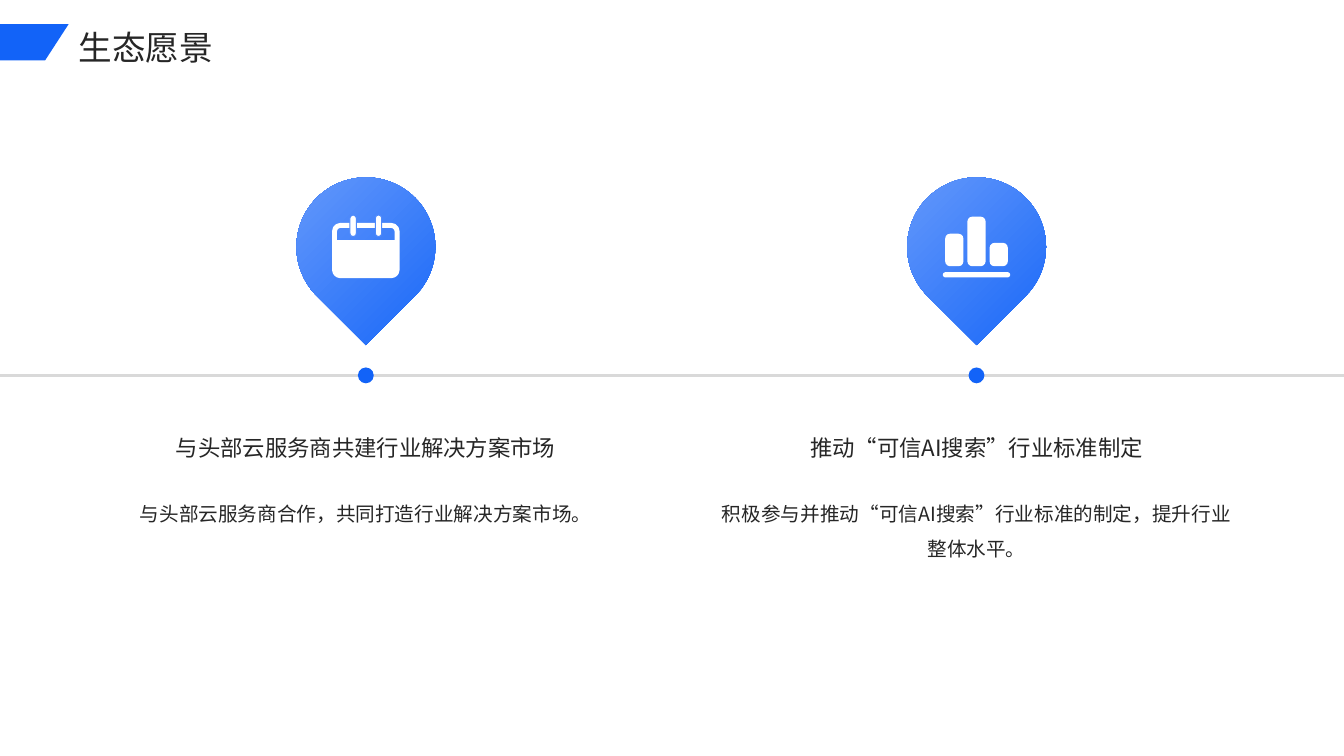
from lxml import etree
from pptx import Presentation
from pptx.dml.color import RGBColor
from pptx.enum.shapes import MSO_CONNECTOR, MSO_SHAPE
from pptx.enum.text import MSO_ANCHOR, MSO_AUTO_SIZE, PP_ALIGN
from pptx.oxml.ns import qn
from pptx.util import Cm, Pt

LEFT, CENTER = PP_ALIGN.LEFT, PP_ALIGN.CENTER
TOP, MIDDLE = MSO_ANCHOR.TOP, MSO_ANCHOR.MIDDLE
GROW, FIXED = MSO_AUTO_SIZE.SHAPE_TO_FIT_TEXT, MSO_AUTO_SIZE.NONE
RECT, ROUND = MSO_SHAPE.RECTANGLE, MSO_SHAPE.ROUNDED_RECTANGLE
OVAL, TEAR = MSO_SHAPE.OVAL, MSO_SHAPE.TEAR
STRAIGHT = MSO_CONNECTOR.STRAIGHT


class Theme:
    font = "Noto Sans CJK SC"
    ink = RGBColor(0x26, 0x26, 0x26)
    blue = RGBColor(0x12, 0x63, 0xF8)
    light = RGBColor(0x71, 0xA1, 0xFB)
    pin_blue = RGBColor(0x4F, 0x8A, 0xFA)
    grey = RGBColor(0xD9, 0xD9, 0xD9)
    white = RGBColor(0xFF, 0xFF, 0xFF)
    title, head, body = 24, 16, 14


def write(tf, text, size, align=LEFT, anchor=TOP, spacing=1.0, inset=None, fit=FIXED):
    tf.word_wrap = True
    tf.auto_size = fit
    tf.vertical_anchor = anchor
    if inset is not None:
        tf.margin_left = tf.margin_right = tf.margin_top = tf.margin_bottom = Cm(inset)
    p = tf.paragraphs[0]
    p.alignment, p.line_spacing = align, spacing
    p.space_before = Pt(0)
    r = p.add_run()
    r.text = text
    r.font.size = Pt(size)
    r.font.color.rgb = Theme.ink
    r.font.name = Theme.font
    etree.SubElement(r.font._element, qn("a:ea"), typeface=Theme.font)


class Board:
    """Draws the elements of a slide, with lengths in centimetres."""

    def __init__(self, s):
        self.s = s

    def title(self, text, x, y, w, h):
        sp = self.s.shapes.title
        sp.left, sp.top, sp.width, sp.height = Cm(x), Cm(y), Cm(w), Cm(h)
        write(sp.text_frame, text, Theme.title, spacing=1.1, fit=GROW)

    def text(self, text, x, y, w, h, **fmt):
        sp = self.s.shapes.add_textbox(Cm(x), Cm(y), Cm(w), Cm(h))
        write(sp.text_frame, text, align=CENTER, inset=0, **fmt)

    def shape(self, kind, x, y, w, h, fill=None, line=None, weight=1, corner=None):
        sp = self.s.shapes.add_shape(kind, Cm(x), Cm(y), Cm(w), Cm(h))
        self.paint(sp, fill)
        if line is not None:
            sp.line.color.rgb = line
            sp.line.width = Pt(weight)
        if corner is not None:
            sp.adjustments[0] = corner
        return sp

    def paint(self, sp, fill):
        sp.shadow.inherit = False
        sp.line.fill.background()
        if fill is None:
            sp.fill.background()
        else:
            sp.fill.solid()
            sp.fill.fore_color.rgb = fill

    def polygon(self, points, fill):
        pts = [(Cm(x), Cm(y)) for x, y in points]
        fb = self.s.shapes.build_freeform(*pts[0])
        fb.add_line_segments(pts[1:], close=True)
        self.paint(fb.convert_to_shape(), fill)

    def line(self, x1, y1, x2, y2, color, weight):
        c = self.s.shapes.add_connector(STRAIGHT, Cm(x1), Cm(y1), Cm(x2), Cm(y2))
        c.line.color.rgb = color
        c.line.width = Pt(weight)
        etree.SubElement(c._element.spPr, qn("a:effectLst"))

    def pin(self, cx, y, size):
        sp = self.shape(TEAR, cx - size / 2, y, size, size, Theme.blue)
        sp.rotation = 135
        sp.fill.gradient()
        sp.fill.gradient_angle = 270
        for stop, color in zip(sp.fill.gradient_stops, (Theme.blue, Theme.light)):
            stop.color.rgb = color

    def calendar(self, cx):
        self.shape(ROUND, cx - 0.79, 5.68, 1.58, 1.27, line=Theme.white, weight=3.5, corner=0.12)
        self.shape(RECT, cx - 0.79, 6.05, 1.58, 0.9, Theme.white)
        for dx in (-0.32, 0.32):
            self.shape(ROUND, cx + dx - 0.08, 5.42, 0.16, 0.54, Theme.white,
                       Theme.pin_blue, 0.75, 0.5)

    def bars(self, cx):
        for i, top in enumerate((5.89, 5.46, 6.12)):
            self.shape(ROUND, cx - 0.79 + 0.56 * i, top, 0.46, 6.71 - top,
                       Theme.white, corner=0.27)
        self.shape(ROUND, cx - 0.85, 6.86, 1.7, 0.13, Theme.white, corner=0.5)


def main():
    prs = Presentation()
    prs.slide_width, prs.slide_height = Cm(33.87), Cm(19.05)
    board = Board(prs.slides.add_slide(prs.slide_layouts[5]))
    board.title("生态愿景", 1.73, 0.46, 29.74, 1.17)
    board.polygon([(0, 0.61), (1.73, 0.61), (1.14, 1.52), (0, 1.52)], Theme.blue)

    axis_y, dot, width = 9.46, 0.4, 13
    board.line(0, axis_y, 33.87, axis_y, Theme.grey, 2)
    visions = [
        (board.calendar, "与头部云服务商共建行业解决方案市场",
         "与头部云服务商合作，共同打造行业解决方案市场。"),
        (board.bars, "推动“可信AI搜索”行业标准制定",
         "积极参与并推动“可信AI搜索”行业标准的制定，提升行业整体水平。"),
    ]
    for i, (icon, head, body) in enumerate(visions):
        cx = 9.22 + 15.39 * i
        board.pin(cx, 4.47, 3.5)
        board.shape(OVAL, cx - dot / 2, axis_y - dot / 2, dot, dot, Theme.blue)
        icon(cx)
        board.text(head, cx - width / 2, 10.52, width, 1.3, size=Theme.head,
                   anchor=MIDDLE, spacing=1.3)
        board.text(body, cx - width / 2, 12.34, width, 3.61, size=Theme.body, spacing=1.5)
    prs.save("out.pptx")


if __name__ == "__main__":
    main()
